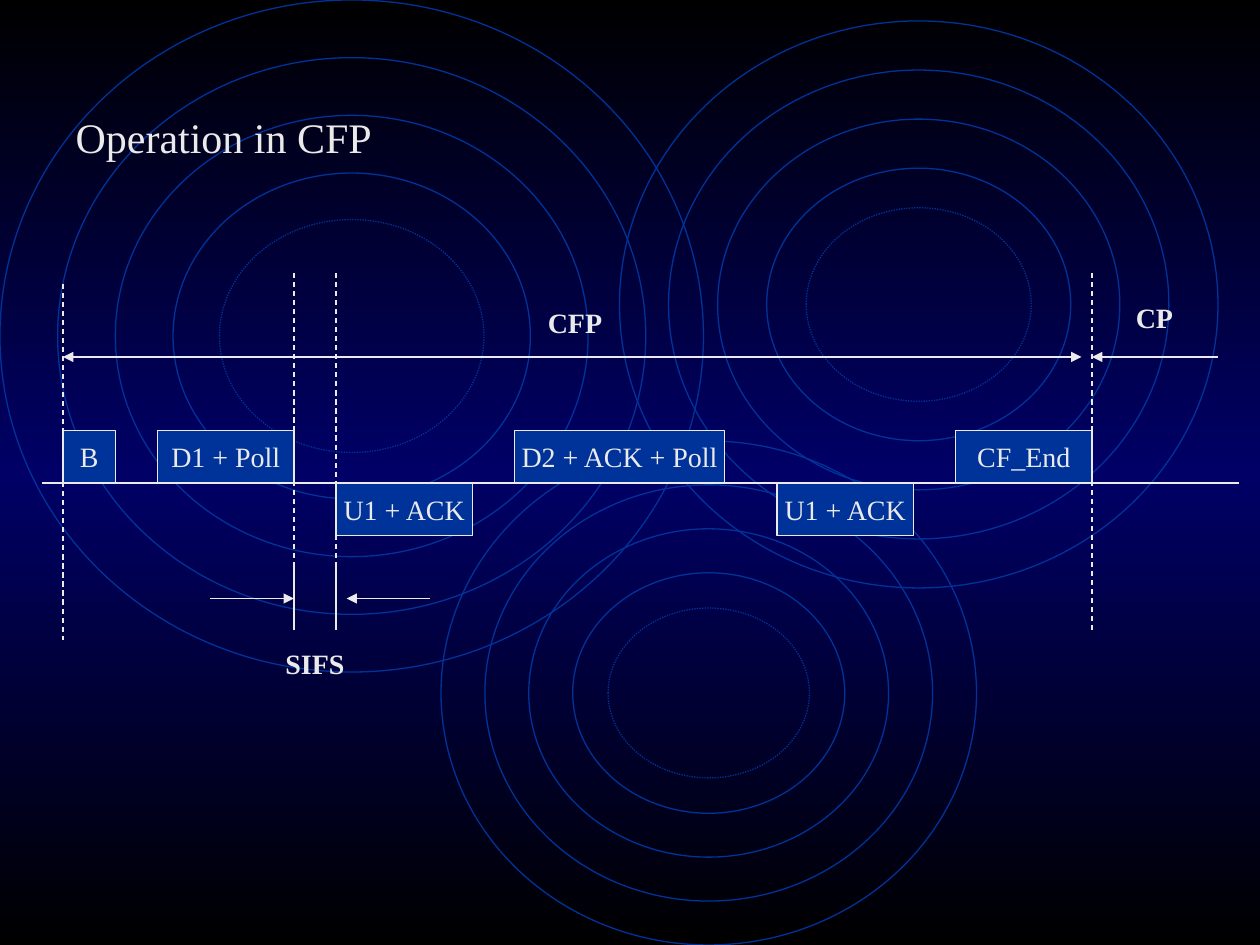
import copy
from typing import NamedTuple

import pptx
import pptx.dml.color
import pptx.enum.dml
import pptx.enum.shapes
import pptx.enum.text
import pptx.oxml.ns
import pptx.oxml.xmlchemy
import pptx.util

Pt = pptx.util.Pt
Dash = pptx.enum.dml.MSO_LINE
Kind = pptx.enum.shapes.MSO_SHAPE
Align = pptx.enum.text.PP_ALIGN
Anchor = pptx.enum.text.MSO_ANCHOR
qn = pptx.oxml.ns.qn

COLORS = {"edge": "000000", "mid": "000066", "blue": "003399", "pale": "EAEAEA"}
FONT = "Times New Roman"
AXIS = 276
BOX_H = 30
INSETS = (0, 0.082, 0.164, 0.246, 0.312)  # share of the outer ring's width


class Ripple(NamedTuple):
    x: float
    y: float
    w: float
    h: float


class Frame(NamedTuple):
    text: str
    x: float
    w: float
    up: bool  # above the time axis


class Line(NamedTuple):
    x1: float
    y1: float
    x2: float
    y2: float
    dash: bool = False
    ends: tuple = ()


class Label(NamedTuple):
    text: str
    x: float
    y: float
    w: float


RIPPLES = [
    Ripple(0, 0, 402, 384),
    Ripple(252, 252, 306, 288),
    Ripple(354, 12, 342, 324),
]
FRAMES = [
    Frame("B", 36, 30, True),
    Frame("D1 + Poll", 90, 78, True),
    Frame("U1 + ACK", 192, 78, False),
    Frame("D2 + ACK + Poll", 294, 120, True),
    Frame("U1 + ACK", 444, 78, False),
    Frame("CF_End", 546, 78, True),
]
TAIL = ("a:tailEnd",)
SPANS = [
    Line(696, 204, 624, 204, ends=TAIL),
    Line(624, 156, 624, 360, dash=True),
    Line(36, 162, 36, 366, dash=True),
    Line(36, 204, 618, 204, ends=("a:headEnd", "a:tailEnd")),
    Line(168, 324, 168, 360),
    Line(192, 324, 192, 360),
    Line(246, 342, 198, 342, ends=TAIL),
    Line(120, 342, 168, 342, ends=TAIL),
    Line(168, 156, 168, 342, dash=True),
    Line(192, 156, 192, 342, dash=True),
]
LABELS = [
    Label("CP", 642, 168, 42),
    Label("CFP", 306, 171, 72),
    Label("SIFS", 156, 366, 54),
]


def rgb(name: str) -> pptx.dml.color.RGBColor:
    return pptx.dml.color.RGBColor.from_string(COLORS[name])


def stroke(line, color: str) -> None:
    line.color.rgb = rgb(color)
    line.width = Pt(0.75)


def write(frame, text: str, size: float, align, bold: bool = False) -> None:
    para = frame.paragraphs[0]
    para.alignment = align
    run = para.add_run()
    run.text = text
    font = run.font
    font.name, font.size, font.bold = FONT, Pt(size), bold
    font.color.rgb = rgb("pale")


def paint(slide) -> None:
    """Fill the background with a dark-blue-dark vertical gradient."""
    fill = slide.background.fill
    fill.gradient()
    fill.gradient_angle = 90
    stops = next(slide._element.iter(qn("a:gsLst")))
    stops.insert(1, copy.deepcopy(stops[0]))
    for stop, pos, name in zip(fill.gradient_stops, (0, 0.5, 1), ("edge", "mid", "edge")):
        stop.position = pos
        stop.color.rgb = rgb(name)


def draw_ripple(slide, spot: Ripple) -> None:
    """Draw nested rings as a group, the inmost one dotted."""
    group = slide.shapes.add_group_shape()
    for share in INSETS:
        gap = share * spot.w
        ring = group.shapes.add_shape(
            Kind.OVAL, Pt(spot.x + gap), Pt(spot.y + gap),
            Pt(spot.w - 2 * gap), Pt(spot.h - 2 * gap))
        ring.shadow.inherit = False
        ring.fill.background()
        stroke(ring.line, "blue")
        if share == INSETS[-1]:
            ring.line.dash_style = Dash.ROUND_DOT


def draw_line(slide, item: Line) -> None:
    line = slide.shapes.add_connector(
        pptx.enum.shapes.MSO_CONNECTOR.STRAIGHT,
        Pt(item.x1), Pt(item.y1), Pt(item.x2), Pt(item.y2))
    stroke(line.line, "pale")
    if item.dash:
        line.line.dash_style = Dash.DASH
    props = line._element.spPr
    for end in item.ends:
        mark = pptx.oxml.xmlchemy.OxmlElement(end)
        mark.set("type", "triangle")
        props.find(qn("a:ln")).append(mark)
    props.append(pptx.oxml.xmlchemy.OxmlElement("a:effectLst"))


def draw_frame(slide, item: Frame) -> None:
    top = AXIS - BOX_H if item.up else AXIS
    box = slide.shapes.add_shape(Kind.RECTANGLE, Pt(item.x), Pt(top), Pt(item.w), Pt(BOX_H))
    box.shadow.inherit = False
    box.fill.solid()
    box.fill.fore_color.rgb = rgb("blue")
    stroke(box.line, "pale")
    box.text_frame.word_wrap = False
    box.text_frame.vertical_anchor = Anchor.MIDDLE
    write(box.text_frame, item.text, 16, Align.CENTER)


def draw_label(slide, item: Label) -> None:
    box = slide.shapes.add_textbox(Pt(item.x), Pt(item.y), Pt(item.w), Pt(26.4))
    box.text_frame.word_wrap = True
    write(box.text_frame, item.text, 16, Align.LEFT, bold=True)


def set_title(slide, text: str) -> None:
    title = slide.shapes.title
    title.left, title.top, title.width, title.height = Pt(36), Pt(60), Pt(234), Pt(36)
    title.text_frame.vertical_anchor = Anchor.TOP
    title.text_frame.word_wrap = True
    write(title.text_frame, text, 24, Align.LEFT)
    title._element.getparent().append(title._element)  # in front of the rings


def main() -> None:
    deck = pptx.Presentation()
    deck.slide_width, deck.slide_height = Pt(720), Pt(540)
    slide = deck.slides.add_slide(deck.slide_layouts[5])
    paint(slide)
    for spot in RIPPLES:
        draw_ripple(slide, spot)
    draw_line(slide, Line(24, AXIS, 708, AXIS))
    for item in FRAMES:
        draw_frame(slide, item)
    set_title(slide, "Operation in CFP")
    for item in SPANS:
        draw_line(slide, item)
    for item in LABELS:
        draw_label(slide, item)
    deck.save("out.pptx")


if __name__ == "__main__":
    main()
